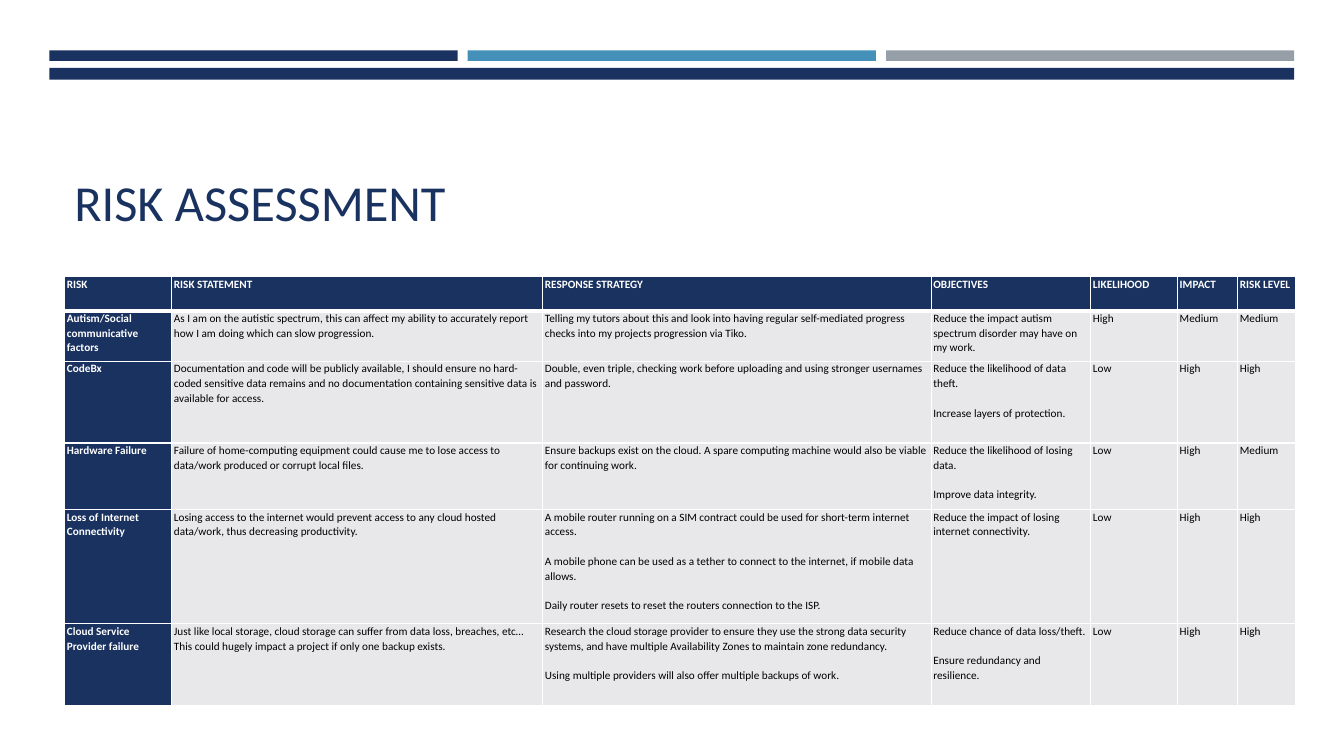
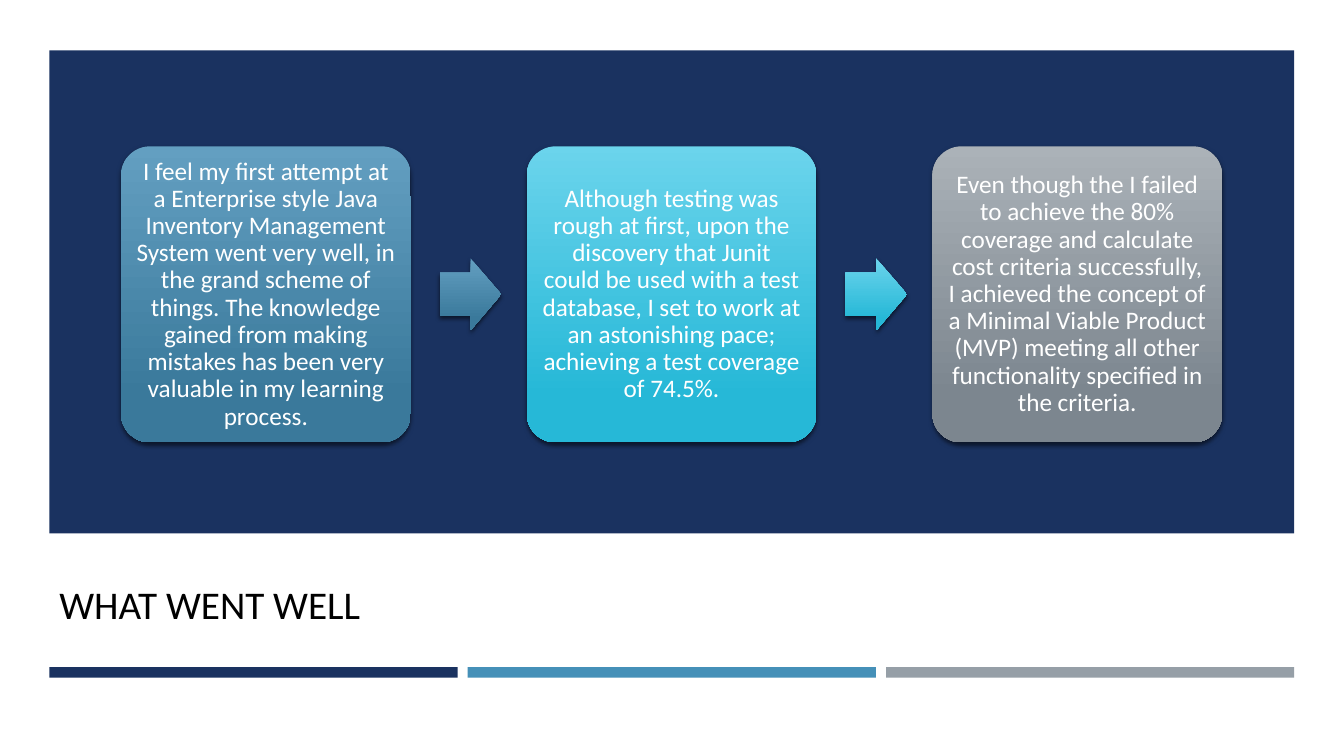
from lxml.etree import SubElement as Sub
from pptx import Presentation
from pptx.dml.color import RGBColor
from pptx.enum.shapes import MSO_SHAPE as Kind
from pptx.enum.text import MSO_ANCHOR as Anchor, PP_ALIGN as Align
from pptx.oxml.ns import qn
from pptx.util import Pt

hue = RGBColor.from_string
NAVY, BLUE, GREY = "1A3260", "4590B8", "969FA7"
WHITE, BLACK, PALE = "FFFFFF", "000000", "E8E8EA"
LEFT, WIDE, GAP = 35.3, 889.2, 7.2
BAR = (WIDE - 2 * GAP) / 3


def box(slide, kind, at, *fill):
    """Add a borderless shape; two colours give a gradient from top to bottom."""
    shape = slide.shapes.add_shape(kind, *map(Pt, at))
    shape.shadow.inherit = False
    shape.line.fill.background()
    if len(fill) == 1:
        shape.fill.solid()
        shape.fill.fore_color.rgb = hue(fill[0])
    else:
        shape.fill.gradient()
        shape.fill.gradient_angle = 270
        for stop, place, shade in zip(shape.fill.gradient_stops, (0, 0.84), fill):
            stop.position = place
            stop.color.rgb = hue(shade)
    return shape


def write(para, text, size, shade, **form):
    run = para.add_run()
    run.text = text
    run.font.color.rgb = hue(shade)
    look = {"name": "Calibri", "size": Pt(size), **form}
    for key, value in look.items():
        setattr(run.font, key, value)


deck = Presentation()
deck.slide_width, deck.slide_height = Pt(960), Pt(540)

# Shared frame: title and three bars
heads = [
    ("RISK ASSESSMENT", (46, 57, 865, 112), Anchor.BOTTOM, 36, NAVY, 36),
    ("WHAT WENT WELL", (LEFT, 394, WIDE, 75), Anchor.MIDDLE, 28, BLACK, 476.6),
]
slides = []
for text, at, anchor, size, shade, top in heads:
    slide = deck.slides.add_slide(deck.slide_layouts[6])
    frame = slide.shapes.add_textbox(*map(Pt, at)).text_frame
    frame.word_wrap = True
    frame.vertical_anchor = anchor
    write(frame.paragraphs[0], text, size, shade)
    for i, fill in enumerate((NAVY, BLUE, GREY)):
        box(slide, Kind.RECTANGLE, (LEFT + i * (BAR + GAP), top, BAR, 7.5), fill)
    slides.append(slide)
risk, well = slides

# Risk table: a line break in a cell starts a new paragraph
box(risk, Kind.RECTANGLE, (LEFT, 48.5, WIDE, 8.5), NAVY)
rows = [
    ("RISK", "RISK STATEMENT", "RESPONSE STRATEGY", "OBJECTIVES",
     "LIKELIHOOD", "IMPACT", "RISK LEVEL"),
    ("Autism/Social communicative factors",
     "As I am on the autistic spectrum, this can affect my ability to accurately "
     "report how I am doing which can slow progression.",
     "Telling my tutors about this and look into having regular self-mediated "
     "progress checks into my projects progression via Tiko.",
     "Reduce the impact autism spectrum disorder may have on my work.",
     "High", "Medium", "Medium"),
    ("CodeBx",
     "Documentation and code will be publicly available, I should ensure no "
     "hard-coded sensitive data remains and no documentation containing "
     "sensitive data is available for access.",
     "Double, even triple, checking work before uploading and using stronger "
     "usernames and password.",
     "Reduce the likelihood of data theft.\nIncrease layers of protection.",
     "Low", "High", "High"),
    ("Hardware Failure",
     "Failure of home-computing equipment could cause me to lose access to "
     "data/work produced or corrupt local files.",
     "Ensure backups exist on the cloud. A spare computing machine would also be "
     "viable for continuing work.",
     "Reduce the likelihood of losing data.\nImprove data integrity.",
     "Low", "High", "Medium"),
    ("Loss of Internet Connectivity",
     "Losing access to the internet would prevent access to any cloud hosted "
     "data/work, thus decreasing productivity.",
     "A mobile router running on a SIM contract could be used for short-term "
     "internet access.\n"
     "A mobile phone can be used as a tether to connect to the internet, if "
     "mobile data allows.\n"
     "Daily router resets to reset the routers connection to the ISP.",
     "Reduce the impact of losing internet connectivity.",
     "Low", "High", "High"),
    ("Cloud Service Provider failure",
     "Just like local storage, cloud storage can suffer from data loss, breaches, "
     "etc… This could hugely impact a project if only one backup exists.",
     "Research the cloud storage provider to ensure they use the strong data "
     "security systems, and have multiple Availability Zones to maintain zone "
     "redundancy.\n"
     "Using multiple providers will also offer multiple backups of work.",
     "Reduce chance of data loss/theft.\nEnsure redundancy and resilience.",
     "Low", "High", "High"),
]
widths = [76.5, 265, 277.5, 114, 62, 43, 41]
heights = [24.5, 36, 58.5, 47.5, 81.5, 58.5]
area = map(Pt, (46.3, 197.5, sum(widths), sum(heights)))
table = risk.shapes.add_table(len(rows), len(widths), *area).table
table.horz_banding = False
for col, width in zip(table.columns, widths):
    col.width = Pt(width)
for row, height in zip(table.rows, heights):
    row.height = Pt(height)

pads = {"margin_left": Pt(1.5), "margin_right": Pt(1.5),
        "margin_top": 0, "margin_bottom": 0}
for r, row in enumerate(rows):
    for c, text in enumerate(row):
        cell = table.cell(r, c)
        for key, value in pads.items():
            setattr(cell, key, value)
        props = cell._tc.get_or_add_tcPr()
        for side in "LRTB":
            thick = 3 if (r, side) in ((0, "B"), (1, "T")) else 1
            line = Sub(props, qn("a:ln" + side), w=str(Pt(thick)))
            Sub(Sub(line, qn("a:solidFill")), qn("a:srgbClr"), val=WHITE)
        head = r == 0 or c == 0
        cell.fill.solid()
        cell.fill.fore_color.rgb = hue(NAVY if head else PALE)
        for i, part in enumerate(text.split("\n")):
            para = cell.text_frame.paragraphs[0] if i == 0 else cell.text_frame.add_paragraph()
            para.line_spacing = 1.07
            para.space_before = Pt(10.5 if i else 0)
            write(para, part, 8, WHITE if head else BLACK, bold=head)

# Three cards joined by arrows
box(well, Kind.RECTANGLE, (LEFT, 36, WIDE, 345), NAVY)
cards = [
    ("I feel my first attempt at a Enterprise style Java Inventory Management "
     "System went very well, in the grand scheme of things. The knowledge gained "
     "from making mistakes has been very valuable in my learning process.",
     "639FC1", "3A799B"),
    ("Although testing was rough at first, upon the discovery that Junit could be "
     "used with a test database, I set to work at an astonishing pace; achieving "
     "a test coverage of 74.5%.",
     "6BD4EC", "26B8D7"),
    ("Even though the I failed to achieve the 80% coverage and calculate cost "
     "criteria successfully, I achieved the concept of a Minimal Viable Product "
     "(MVP) meeting all other functionality specified in the criteria.",
     "ABB2B8", "7C868F"),
]
pads = dict.fromkeys(("margin_left", "margin_right", "margin_top", "margin_bottom"), Pt(5))
for i, (text, *fill) in enumerate(cards):
    left = 86.4 + i * 289.8
    card = box(well, Kind.ROUNDED_RECTANGLE, (left, 104.5, 207, 211.5), *fill)
    card.adjustments[0] = 0.1
    frame = card.text_frame
    for key, value in {**pads, "word_wrap": True, "vertical_anchor": Anchor.MIDDLE}.items():
        setattr(frame, key, value)
    para = frame.paragraphs[0]
    para.alignment = Align.CENTER
    para.line_spacing = 0.9
    write(para, text, 18, WHITE)
    parts = [card]
    if i < len(cards) - 1:
        arrow = box(well, Kind.RIGHT_ARROW, (left + 227.7, 184.5, 44, 51.5), *fill)
        arrow.adjustments[0] = 0.6
        parts.append(arrow)
    for part in parts:
        glow = part._element.spPr.find(qn("a:effectLst"))
        shade = Sub(glow, qn("a:outerShdw"), blurRad=str(Pt(3)), dist=str(Pt(2)),
                    dir="5400000", algn="ctr", rotWithShape="0")
        Sub(Sub(shade, qn("a:srgbClr"), val=BLACK), qn("a:alpha"), val="55000")

deck.save("out.pptx")
